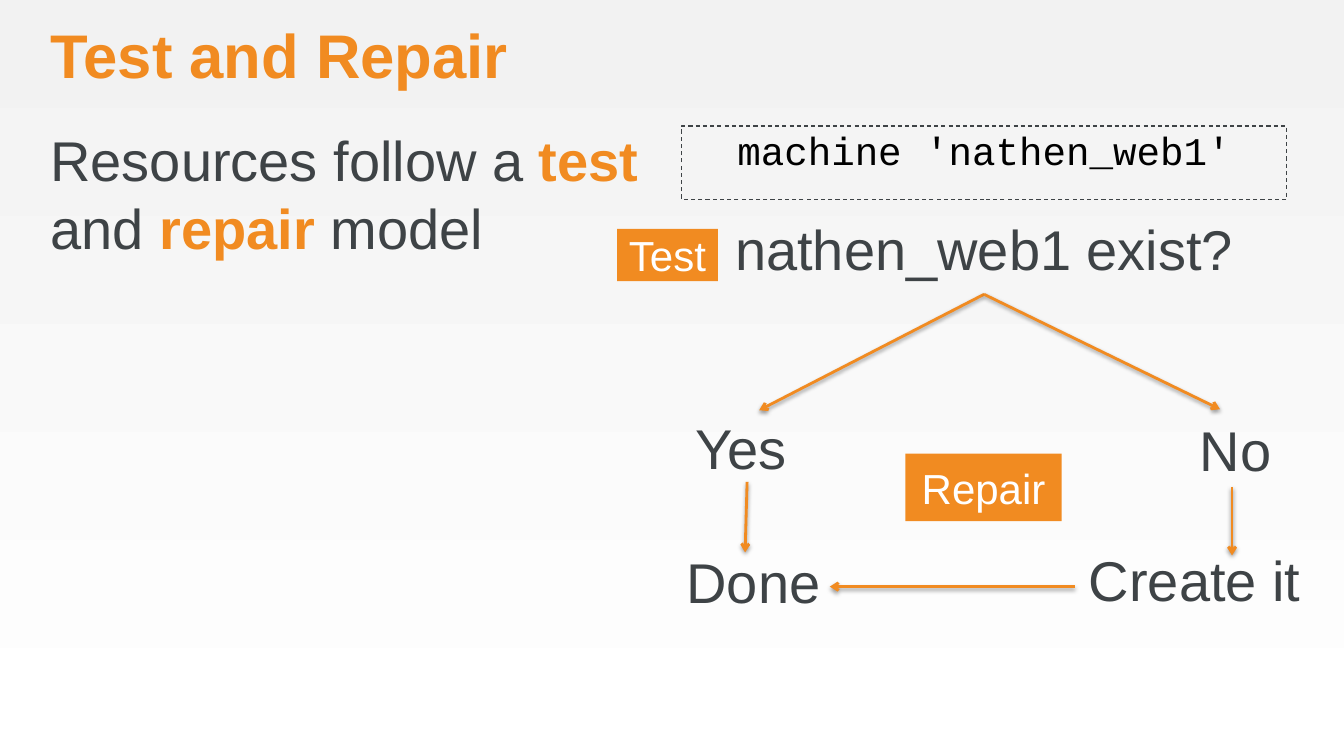
"""Build the "Test and Repair" slide with its decision flow."""
from dataclasses import dataclass
from typing import Any

from lxml import etree
from pptx import Presentation
from pptx.dml.color import RGBColor
from pptx.enum.dml import MSO_LINE
from pptx.enum.shapes import MSO_CONNECTOR, MSO_SHAPE
from pptx.enum.text import MSO_ANCHOR, MSO_AUTO_SIZE, PP_ALIGN
from pptx.oxml import parse_xml
from pptx.oxml.ns import nsdecls, qn
from pptx.util import Pt

PX = 9144
STRAIGHT = MSO_CONNECTOR.STRAIGHT
RECT = MSO_SHAPE.RECTANGLE
DASH = MSO_LINE.DASH
TOP, MIDDLE = MSO_ANCHOR.TOP, MSO_ANCHOR.MIDDLE
FIXED, GROW = MSO_AUTO_SIZE.NONE, MSO_AUTO_SIZE.SHAPE_TO_FIT_TEXT
LEFT, CENTER = PP_ALIGN.LEFT, PP_ALIGN.CENTER
BOTTOM_SIDE = 2

COLORS = {
    "orange": "F18B21",
    "grey": "3E4346",
    "black": "000000",
    "white": "FFFFFF",
    "mist": "F2F2F2",
}
TITLE = {"size": Pt(44), "name": "Arial", "bold": True}
BODY = {"size": Pt(40), "name": "Arial", "bold": False}
STRONG = BODY | {"bold": True}
CODE = {"size": Pt(28), "name": "Courier New", "bold": False}
TAG = {"size": Pt(30), "name": "Arial", "bold": False}

SHADOW = (
    f'<a:effectLst {nsdecls("a")}><a:outerShdw blurRad="39400" dist="20300" '
    'dir="5400000" rotWithShape="0"><a:srgbClr val="000000">'
    '<a:alpha val="38000"/></a:srgbClr></a:outerShdw></a:effectLst>'
)


@dataclass(frozen=True)
class Box:
    """A rectangle in px."""

    left: int
    top: int
    width: int
    height: int


@dataclass(frozen=True)
class Run:
    """Text with its colour name and font values."""

    text: str
    color: str
    font: dict[str, Any]


@dataclass(frozen=True)
class Label:
    """A short text and its place."""

    text: str
    box: Box


@dataclass(frozen=True)
class Arrow:
    """A line from one point to another in px."""

    start: tuple[int, int]
    end: tuple[int, int]
    from_question: bool = False


TITLE_BOX = Box(50, 25, 1225, 68)
BODY_BOX = Box(50, 125, 600, 575)
CODE_BOX = Box(676, 125, 600, 73)
QUESTION = Label("nathen_web1 exist?", Box(676, 213, 600, 79))
BODY_RUNS = [
    Run("Resources follow a ", "grey", BODY),
    Run("test ", "orange", STRONG),
    Run("and ", "grey", BODY),
    Run("repair ", "orange", STRONG),
    Run("model", "grey", BODY),
]
ARROWS = [
    Arrow((976, 292), (753, 407), True),
    Arrow((976, 292), (1210, 406), True),
    Arrow((1222, 483), (1222, 551)),
    Arrow((1066, 582), (823, 582)),
    Arrow((741, 478), (739, 548)),
]
STEPS = [
    Label("Done", Box(681, 543, 134, 67)),
    Label("Create it", Box(1080, 541, 212, 67)),
    Label("Yes", Box(690, 410, 92, 67)),
    Label("No", Box(1190, 412, 72, 67)),
]
TAGS = [
    Label("Test", Box(612, 227, 100, 52)),
    Label("Repair", Box(898, 450, 155, 67)),
]


def rgb(name: str) -> RGBColor:
    """Return a named colour."""
    return RGBColor.from_string(COLORS[name])


def apply(target: Any, values: dict[str, Any]) -> None:
    """Set each attribute of a target."""
    for name, value in values.items():
        setattr(target, name, value)


def emu(box: Box) -> tuple[int, int, int, int]:
    """Convert a box to EMU."""
    return box.left * PX, box.top * PX, box.width * PX, box.height * PX


def place(sp: Any, box: Box) -> None:
    """Move and size a placeholder."""
    apply(sp, dict(zip(("left", "top", "width", "height"), emu(box))))


def write(sp: Any, runs: list[Run], align: Any = LEFT, side: int = 0,
          edge: int = 0, anchor: Any = TOP, wrap: bool = True) -> Any:
    """Fill a shape with one paragraph of runs and return the paragraph."""
    tf = sp.text_frame
    apply(tf, {
        "margin_left": side * PX, "margin_right": side * PX,
        "margin_top": edge * PX, "margin_bottom": edge * PX,
        "vertical_anchor": anchor, "word_wrap": wrap,
        "auto_size": FIXED if wrap else GROW,
    })
    p = tf.paragraphs[0]
    apply(p, {"alignment": align, "space_before": Pt(0)})
    for run in runs:
        r = p.add_run()
        r.text = run.text
        apply(r.font, run.font)
        r.font.color.rgb = rgb(run.color)
    return p


def clear_bullet(p: Any) -> None:
    """Remove the bullet and indent of a paragraph."""
    props = p._p.get_or_add_pPr()
    props.set("marL", "0")
    props.set("indent", "0")
    etree.SubElement(props, qn("a:buNone"))


def add_arrow(s: Any, arrow: Arrow, question: Any) -> None:
    """Draw an orange arrow with a soft shadow."""
    points = [value * PX for value in (*arrow.start, *arrow.end)]
    line = s.shapes.add_connector(STRAIGHT, *points)
    if arrow.from_question:
        line.begin_connect(question, BOTTOM_SIDE)
    line.line.color.rgb = rgb("orange")
    line.line.width = Pt(2)
    etree.SubElement(line.line._get_or_add_ln(), qn("a:tailEnd"), type="arrow")
    line._element.spPr.append(parse_xml(SHADOW))


def add_text(s: Any, label: Label, align: Any = LEFT, wrap: bool = True) -> Any:
    """Add a grey text box."""
    sp = s.shapes.add_textbox(*emu(label.box))
    write(sp, [Run(label.text, "grey", BODY)], align, wrap=wrap)
    return sp


def add_tag(s: Any, label: Label) -> None:
    """Add an orange tag with white text."""
    sp = s.shapes.add_shape(RECT, *emu(label.box))
    sp.shadow.inherit = False
    sp.fill.solid()
    sp.fill.fore_color.rgb = rgb("orange")
    sp.line.fill.background()
    write(sp, [Run(label.text, "white", TAG)], CENTER, 10, 5, MIDDLE)


def main() -> None:
    """Build and save the slide."""
    prs = Presentation()
    prs.slide_width, prs.slide_height = 1333 * PX, 750 * PX
    s = prs.slides.add_slide(prs.slide_layouts[3])

    fill = s.background.fill
    fill.gradient()
    fill.gradient_angle = 270
    for stop, name in zip(fill.gradient_stops, ("mist", "white")):
        stop.color.rgb = rgb(name)

    title, body, code = s.placeholders
    place(title, TITLE_BOX)
    write(title, [Run("Test and Repair", "orange", TITLE)]).line_spacing = 0.9
    place(body, BODY_BOX)
    clear_bullet(write(body, BODY_RUNS))
    place(code, CODE_BOX)
    code.line.color.rgb = rgb("grey")
    apply(code.line, {"width": Pt(0.75), "dash_style": DASH})
    clear_bullet(write(code, [Run("machine 'nathen_web1'", "black", CODE)], CENTER, 10))

    question = add_text(s, QUESTION, CENTER)
    for arrow in ARROWS:
        add_arrow(s, arrow, question)
    for step in STEPS:
        add_text(s, step, wrap=False)
    for tag in TAGS:
        add_tag(s, tag)
    prs.save("out.pptx")


if __name__ == "__main__":
    main()
